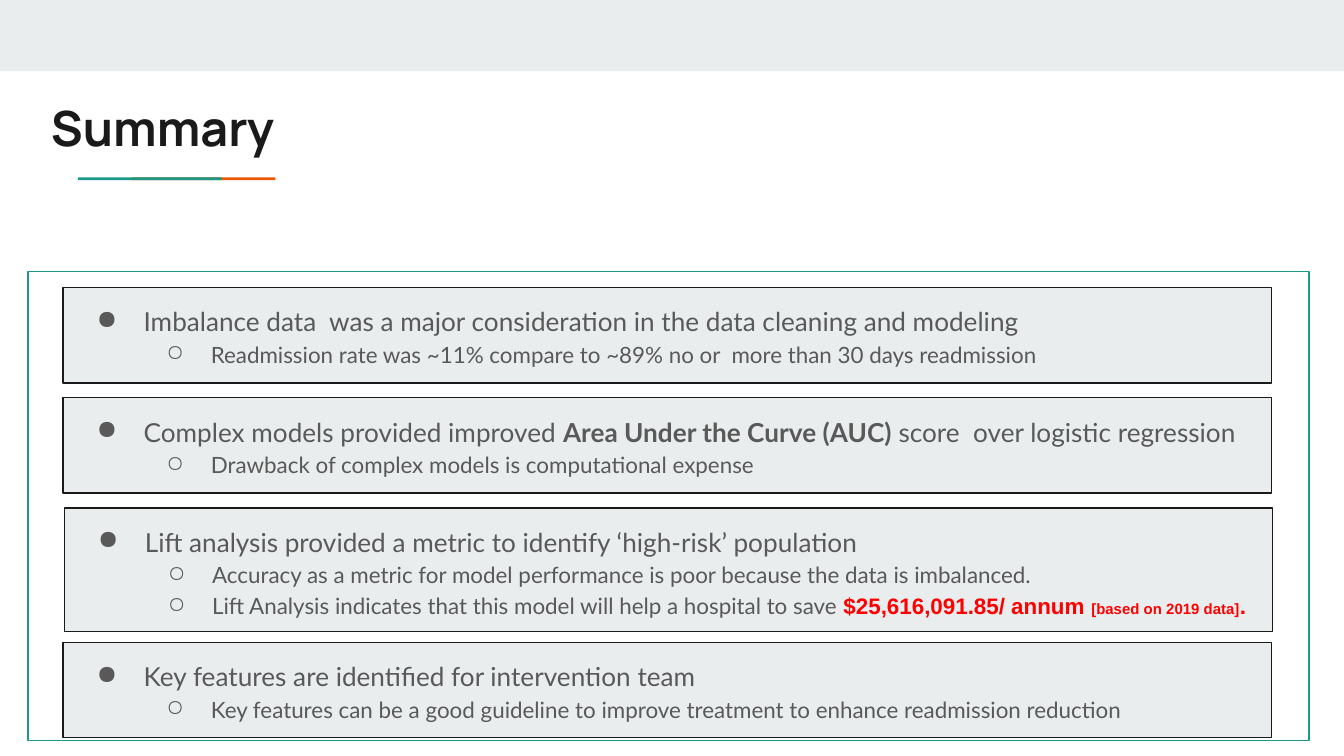
from lxml import etree
from pptx import Presentation
from pptx.dml.color import RGBColor
from pptx.enum.shapes import MSO_SHAPE
from pptx.enum.text import MSO_ANCHOR, PP_ALIGN
from pptx.oxml.ns import qn
from pptx.util import Inches, Pt

RECT = MSO_SHAPE.RECTANGLE
TOP = MSO_ANCHOR.TOP
JUSTIFY = PP_ALIGN.JUSTIFY

COLORS = {
    "pale": "E9EDEE",
    "dark": "1A1A1A",
    "teal": "1A9988",
    "orange": "EB5600",
    "gray": "595959",
    "red": "FF0000",
}
LEVELS = [("●", 0.5, -0.35, 14), ("○", 1, -0.33, 12)]
SAVING = {"name": "Arial", "color": "red", "bold": True}

CARDS = [
    (0.47, 2.14, 0.71, [
        [("Imbalance data  was a major consideration in the data cleaning and modeling", {})],
        [("Readmission rate was ~11% compare to ~89% no or  more than 30 days readmission", {})],
    ]),
    (0.47, 2.96, 0.71, [
        [("Complex models provided improved ", {}),
         ("Area Under the Curve (AUC)", {"bold": True}),
         (" score  over logistic regression", {})],
        [("Drawback of complex models is computational expense", {})],
    ]),
    (0.48, 3.78, 0.92, [
        [("Lift analysis provided a metric to identify ‘high-risk’ population", {})],
        [("Accuracy as a metric for model performance is poor because the data is imbalanced.", {})],
        [("Lift Analysis indicates that this model will help a hospital to save ", {}),
         ("$25,616,091.85/ annum ", SAVING),
         ("[based on 2019 data]", {**SAVING, "size": 8}),
         (". ", SAVING)],
    ]),
    (0.47, 4.78, 0.71, [
        [("Key features are identified for intervention team", {})],
        [("Key features can be a good guideline to improve treatment to enhance readmission reduction", {})],
    ]),
]


def rgb(name):
    return RGBColor.from_string(COLORS[name])


def style(font, name=None, size=None, color=None, bold=None):
    if name:
        font.name = name
    if size:
        font.size = Pt(size)
    if color:
        font.color.rgb = rgb(color)
    if bold is not None:
        font.bold = bold


def add_box(slide, x, y, w, h, fill=None, line=None):
    box = slide.shapes.add_shape(RECT, Inches(x), Inches(y), Inches(w), Inches(h))
    box.shadow.inherit = False
    if fill:
        box.fill.solid()
        box.fill.fore_color.rgb = rgb(fill)
    else:
        box.fill.background()
    if line:
        box.line.color.rgb = rgb(line)
        box.line.width = Pt(0.75)
    else:
        box.line.fill.background()
    return box


def set_frame(frame):
    frame.word_wrap = True
    frame.vertical_anchor = TOP
    frame.margin_left = frame.margin_right = Inches(0.1)
    frame.margin_top = frame.margin_bottom = Inches(0.1)


def add_bullet(para, mark, left, indent):
    props = para._p.get_or_add_pPr()
    props.set("marL", str(Inches(left)))
    props.set("indent", str(Inches(indent)))
    tint = etree.SubElement(props, qn("a:buClr"))
    etree.SubElement(tint, qn("a:srgbClr"), val=COLORS["gray"])
    etree.SubElement(props, qn("a:buChar"), char=mark)


def add_header(slide, x, y, w, h):
    add_box(slide, 0, 0, 10, 0.53, "pale")
    add_box(slide, x + 0.7, y + 0.69, 1.07, 0.02, "orange")
    add_box(slide, x + 0.3, y + 0.69, 1.07, 0.02, "teal")
    title = slide.shapes.add_textbox(Inches(x), Inches(y), Inches(w), Inches(h))
    set_frame(title.text_frame)
    para = title.text_frame.paragraphs[0]
    para.text = "Summary"
    style(para.font, "Manrope", 26, "dark", True)


def add_card(slide, x, y, w, h, lines):
    frame = add_box(slide, x, y, w, h, "pale", "dark").text_frame
    set_frame(frame)
    for i, parts in enumerate(lines):
        para = frame.add_paragraph() if i else frame.paragraphs[0]
        level = min(i, 1)
        mark, left, indent, size = LEVELS[level]
        para.level = level
        para.alignment = JUSTIFY
        para.line_spacing = 1.15
        add_bullet(para, mark, left, indent)
        base = {"name": "Lato", "size": size, "color": "gray"}
        agree = len(parts) == 1
        if agree:
            style(para.font, **base)
        for text, extra in parts:
            run = para.add_run()
            run.text = text
            if not agree:
                style(run.font, **{**base, **extra})


def main():
    deck = Presentation()
    deck.slide_width = Inches(10)
    deck.slide_height = deck.slide_width * 9 // 16
    slide = deck.slides.add_slide(deck.slide_layouts[6])
    add_header(slide, 0.28, 0.63, 8.41, 0.59)
    add_box(slide, 0.21, 2.02, 9.53, 3.49, line="teal")
    for x, y, h, lines in CARDS:
        add_card(slide, x, y, 8.99, h, lines)
    deck.save("out.pptx")


if __name__ == "__main__":
    main()
